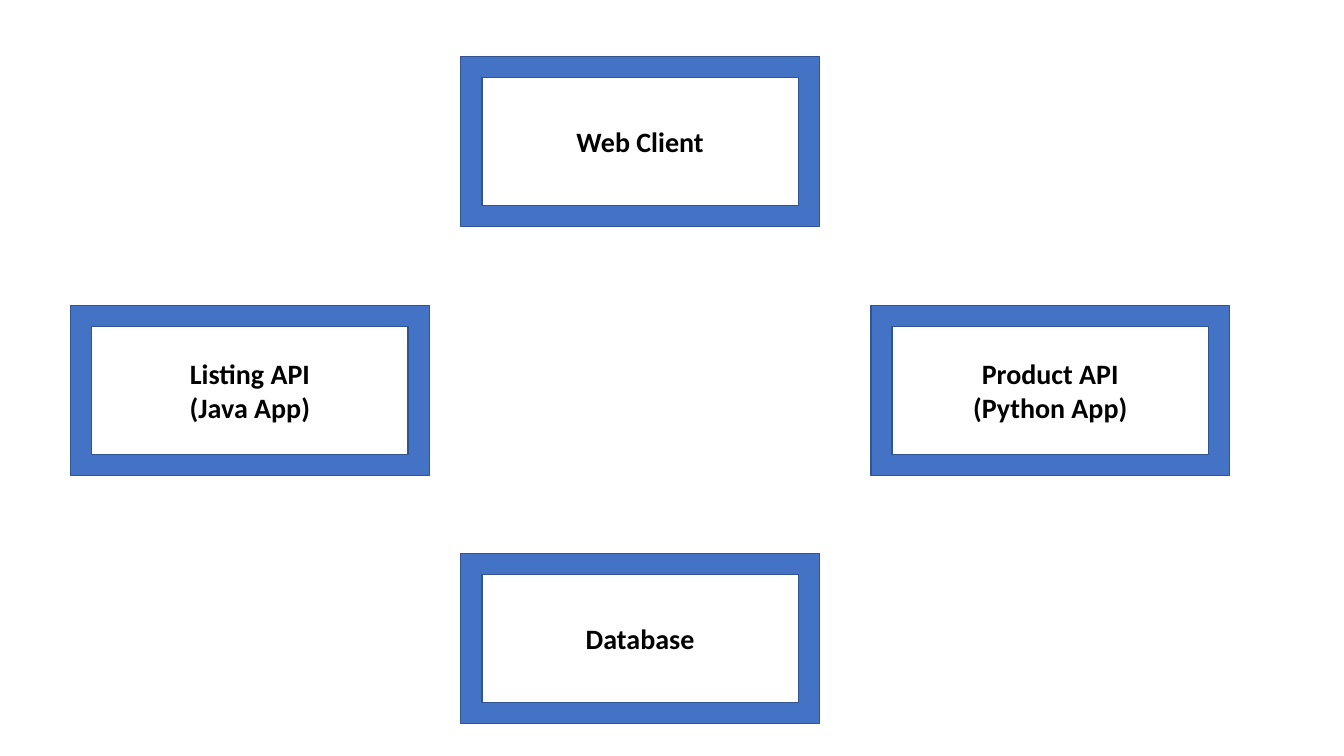
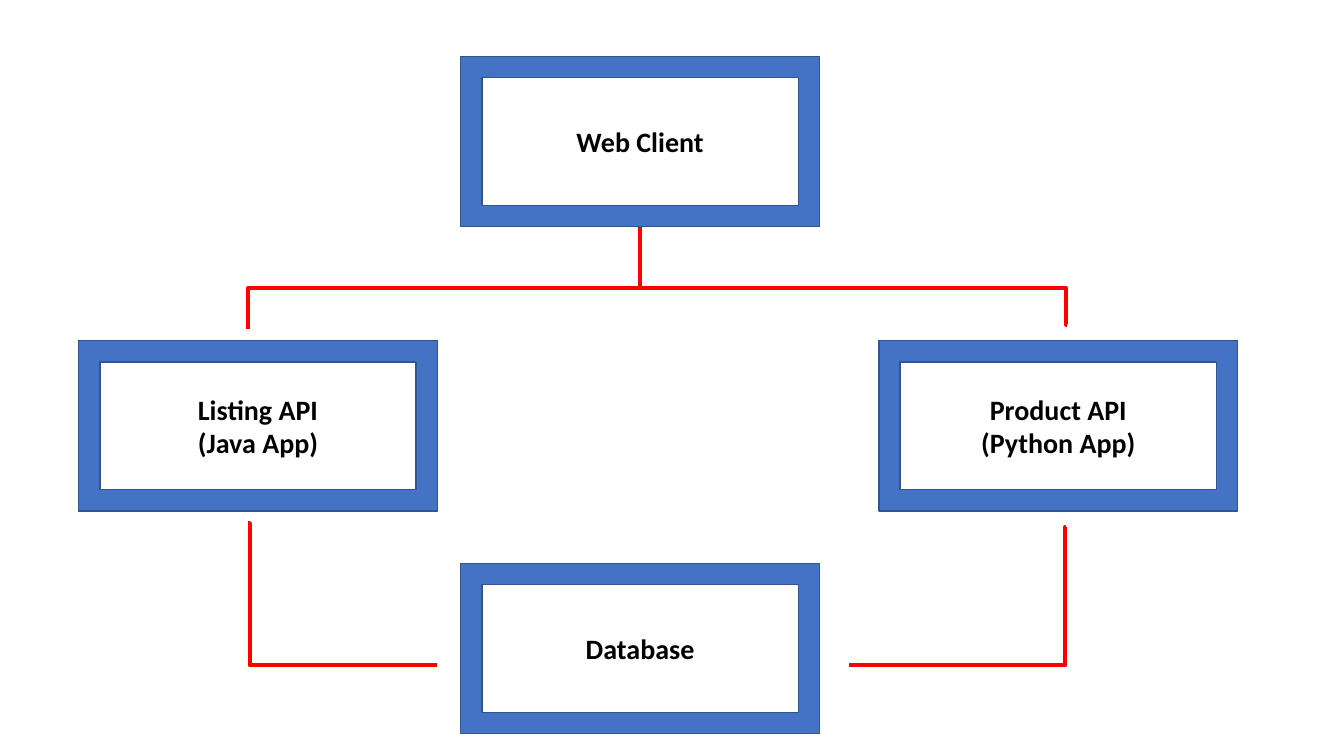
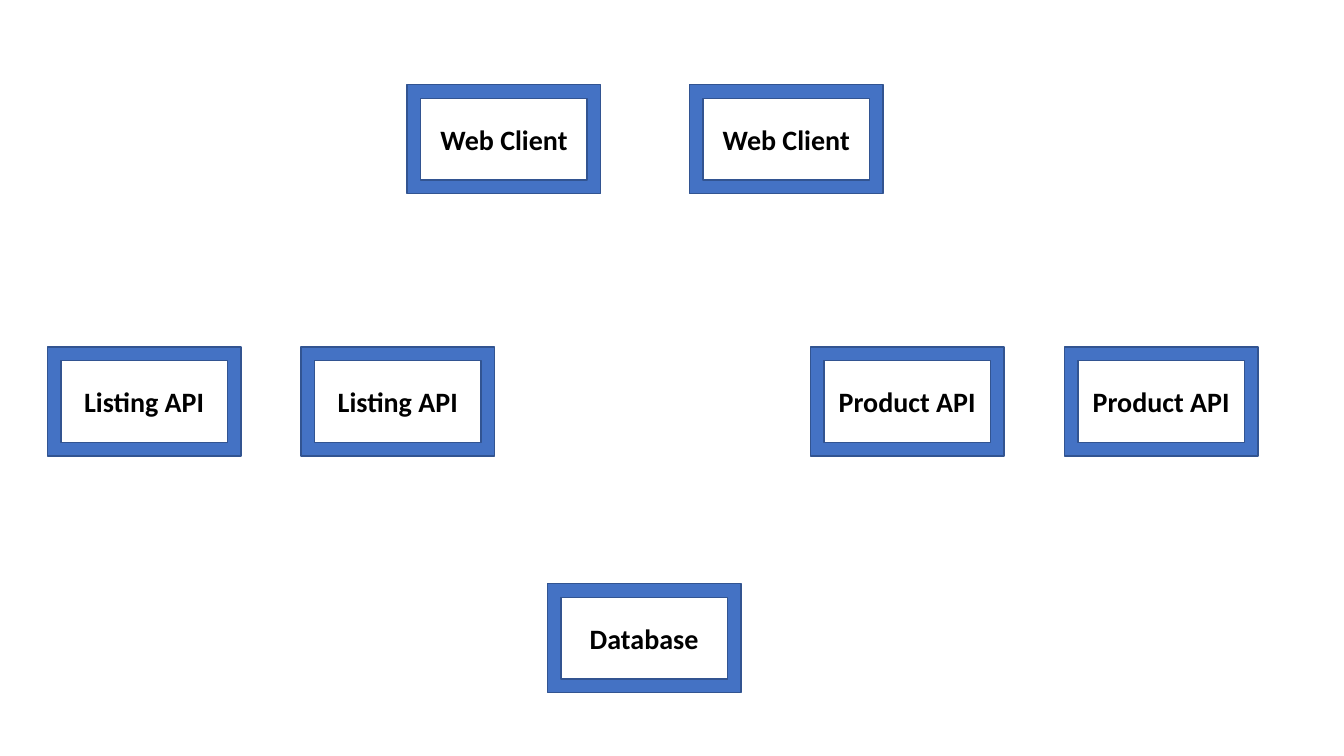
from dataclasses import dataclass

from lxml import etree
from pptx import Presentation
from pptx.dml.color import RGBColor
from pptx.enum.shapes import MSO_CONNECTOR, MSO_SHAPE
from pptx.enum.text import MSO_ANCHOR, PP_ALIGN
from pptx.oxml.ns import qn
from pptx.util import Inches, Pt

FRAME = MSO_SHAPE.FRAME
STRAIGHT = MSO_CONNECTOR.STRAIGHT
ELBOW = MSO_CONNECTOR.ELBOW
MIDDLE = MSO_ANCHOR.MIDDLE
CENTER = PP_ALIGN.CENTER
BOTTOM_SITE = 2


@dataclass(frozen=True)
class Theme:
    frame: RGBColor = RGBColor.from_string("4472C4")
    outline: RGBColor = RGBColor.from_string("325491")
    link: RGBColor = RGBColor.from_string("FF0000")
    text: RGBColor = RGBColor.from_string("000000")
    font: str = "Calibri"
    text_size: Pt = Pt(20)
    outline_width: Pt = Pt(1)
    link_width: Pt = Pt(3)


class Diagram:
    """Positions and sizes are percentages of the slide's width and height."""

    def __init__(self, theme):
        self.theme = theme
        self.deck = Presentation()
        self.deck.slide_width = Inches(13.33)
        self.deck.slide_height = Inches(7.5)
        self.page = None

    def across(self, share):
        return round(self.deck.slide_width * share / 100)

    def down(self, share):
        return round(self.deck.slide_height * share / 100)

    def point(self, position):
        return self.across(position[0]), self.down(position[1])

    def new_page(self):
        self.page = self.deck.slides.add_slide(self.deck.slide_layouts[6])

    def box(self, text, center, size):
        (x, y), (width, height) = center, size
        box = self.page.shapes.add_shape(
            FRAME,
            self.across(x - width / 2),
            self.down(y - height / 2),
            self.across(width),
            self.down(height),
        )
        box.shadow.inherit = False
        box.fill.solid()
        box.fill.fore_color.rgb = self.theme.frame
        box.line.color.rgb = self.theme.outline
        box.line.width = self.theme.outline_width
        box.text_frame.text = text
        box.text_frame.vertical_anchor = MIDDLE
        for para in box.text_frame.paragraphs:
            para.alignment = CENTER
            para.font.name = self.theme.font
            para.font.size = self.theme.text_size
            para.font.bold = True
            para.font.color.rgb = self.theme.text
        return box

    def link(self, start, end, kind=STRAIGHT):
        link = self.page.shapes.add_connector(kind, *self.point(start), *self.point(end))
        link.line.color.rgb = self.theme.link
        link.line.width = self.theme.link_width
        etree.SubElement(link._element.spPr, qn("a:effectLst"))
        return link

    def elbow(self, start, end, bend):
        link = self.link(start, end, ELBOW)
        geometry = link._element.spPr.find(qn("a:prstGeom"))
        values = geometry.find(qn("a:avLst"))
        if values is None:
            values = etree.SubElement(geometry, qn("a:avLst"))
        etree.SubElement(
            values, qn("a:gd"), name="adj1", fmla=f"val {round(bend * 1000)}"
        )

    def save(self):
        self.deck.save("out.pptx")


LARGE = (26.7, 22.5)
SMALL = (14.4, 14.4)
CLIENT = "Web Client"
LISTING = "Listing API"
PRODUCT = "Product API"
DATABASE = "Database"
AXIS = 47.63


def add_services(diagram, left, right, service_row, database_row):
    client = diagram.box(CLIENT, (AXIS, 18.73), LARGE)
    diagram.box(f"{LISTING}\n(Java App)", (left, service_row), LARGE)
    diagram.box(f"{PRODUCT}\n(Python App)", (right, service_row), LARGE)
    diagram.box(DATABASE, (AXIS, database_row), LARGE)
    return client


def add_overview(diagram):
    diagram.new_page()
    add_services(diagram, 18.6, 78.15, 51.67, 84.47)


def add_connections(diagram):
    diagram.new_page()
    client = add_services(diagram, 19.2, 78.75, 56.33, 85.8)
    left, right, fork, base = 18.45, 79.35, 38.13, 88
    diagram.elbow((46.65, fork), (left, 43.47), 100)
    diagram.elbow((46.65, fork), (right, 42.93), 99.9)
    trunk = diagram.link((AXIS, 30), (AXIS, fork))
    trunk.begin_connect(client, BOTTOM_SITE)
    diagram.elbow((left, 69.2), (32.55, base), 1)
    diagram.elbow((right, 69.73), (63.15, base), 0.5)


def add_replicas(diagram):
    diagram.new_page()
    for text, columns, row in (
        (CLIENT, (37.5, 58.5), 18.4),
        (LISTING, (10.73, 29.6), 53.1),
        (PRODUCT, (67.5, 86.4), 53.1),
        (DATABASE, (47.93,), 84.4),
    ):
        for column in columns:
            diagram.box(text, (column, row), SMALL)


def main():
    diagram = Diagram(Theme())
    add_overview(diagram)
    add_connections(diagram)
    add_replicas(diagram)
    diagram.save()


if __name__ == "__main__":
    main()
